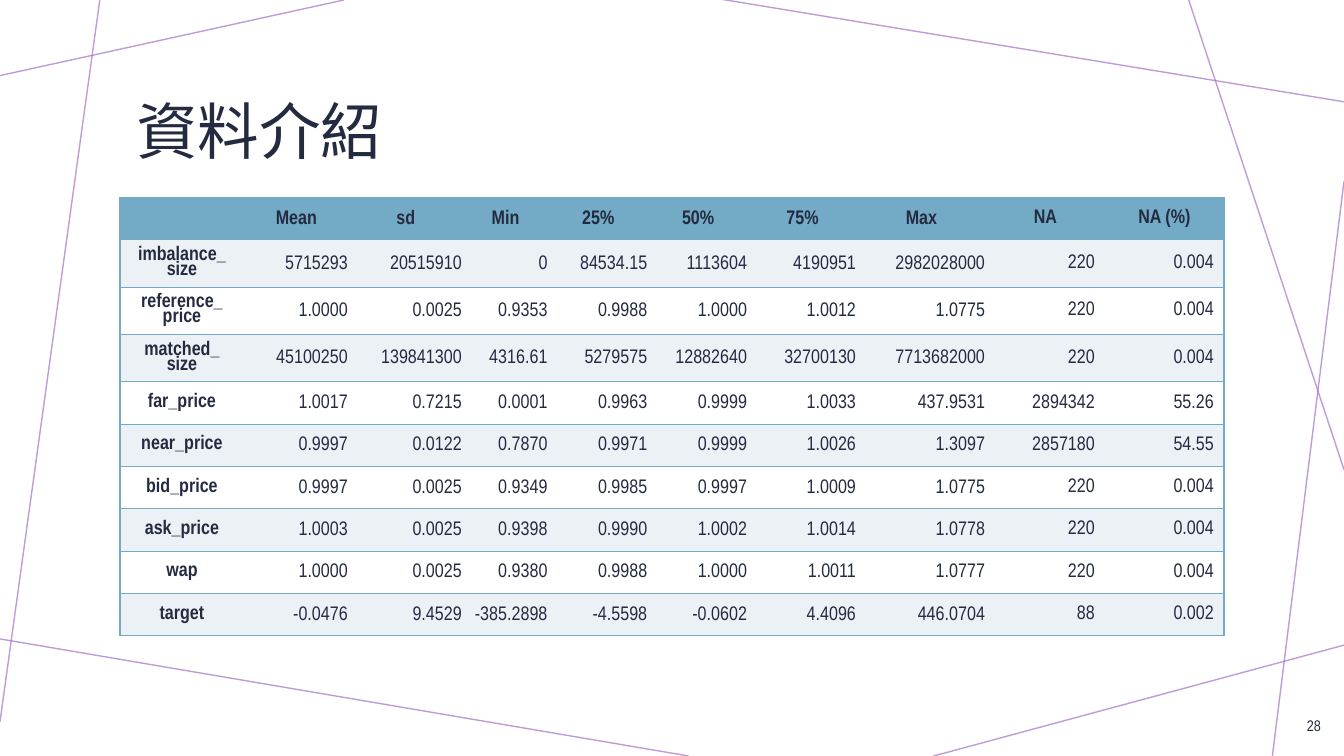
from lxml import etree
from pptx import Presentation
from pptx.dml.color import RGBColor
from pptx.enum.shapes import MSO_CONNECTOR
from pptx.enum.text import MSO_ANCHOR, MSO_AUTO_SIZE, PP_ALIGN
from pptx.oxml.ns import qn
from pptx.util import Inches, Pt

STRAIGHT = MSO_CONNECTOR.STRAIGHT
MIDDLE = MSO_ANCHOR.MIDDLE
LEFT, CENTER, RIGHT = PP_ALIGN.LEFT, PP_ALIGN.CENTER, PP_ALIGN.RIGHT
NO_AUTOFIT = MSO_AUTO_SIZE.NONE

INK = RGBColor(0x24, 0x2B, 0x41)
PURPLE = RGBColor(0xA4, 0x72, 0xC6)
BLUE = RGBColor(0x73, 0xAA, 0xC6)
PALE = RGBColor(0xEB, 0xF1, 0xF5)
WHITE = RGBColor(0xFF, 0xFF, 0xFF)

BACKDROP_LINES = [
    (3.41, 0, 0, 0.75), (0.99, 0, 0, 7.16), (6.83, 7.5, -0.05, 6.33),
    (13.33, 6.4, 9.26, 7.5), (13.33, 1.8, 12.62, 7.5),
    (13.33, 4.66, 11.79, 0), (13.33, 1.01, 7.14, -0.01),
]

COLUMN_WIDTHS = [1.23, 1.04, 1.13, 0.85, 0.99, 0.99, 1.08, 1.28, 1.18, 1.18]
ROW_HEIGHT = 0.42
TWO_LINE_ROW_HEIGHT = 0.47
TIGHT_COLUMNS = range(1, 8)
STATISTICS = [
    ["", "Mean", "sd", "Min", "25%", "50%", "75%", "Max", "NA", "NA (%)"],
    ["imbalance_\nsize", "5715293", "20515910", "0", "84534.15", "1113604",
     "4190951", "2982028000", "220", "0.004"],
    ["reference_\nprice", "1.0000", "0.0025", "0.9353", "0.9988", "1.0000",
     "1.0012", "1.0775", "220", "0.004"],
    ["matched_\nsize", "45100250", "139841300", "4316.61", "5279575", "12882640",
     "32700130", "7713682000", "220", "0.004"],
    ["far_price", "1.0017", "0.7215", "0.0001", "0.9963", "0.9999",
     "1.0033", "437.9531", "2894342", "55.26"],
    ["near_price", "0.9997", "0.0122", "0.7870", "0.9971", "0.9999",
     "1.0026", "1.3097", "2857180", "54.55"],
    ["bid_price", "0.9997", "0.0025", "0.9349", "0.9985", "0.9997",
     "1.0009", "1.0775", "220", "0.004"],
    ["ask_price", "1.0003", "0.0025", "0.9398", "0.9990", "1.0002",
     "1.0014", "1.0778", "220", "0.004"],
    ["wap", "1.0000", "0.0025", "0.9380", "0.9988", "1.0000",
     "1.0011", "1.0777", "220", "0.004"],
    ["target", "-0.0476", "9.4529", "-385.2898", "-4.5598", "-0.0602",
     "4.4096", "446.0704", "88", "0.002"],
]


def add_run(paragraph, text, size, font_name, align, bold=False):
    paragraph.alignment = align
    run = paragraph.add_run()
    run.text = text
    font = run.font
    font.size, font.name, font.bold = Pt(size), font_name, bold
    font.color.rgb = INK


def add_backdrop(slide):
    for x1, y1, x2, y2 in BACKDROP_LINES:
        ray = slide.shapes.add_connector(
            STRAIGHT, Inches(x1), Inches(y1), Inches(x2), Inches(y2))
        ray.line.width = Pt(1)
        ray.line.color.rgb = PURPLE
        properties = ray._element.spPr
        color = properties.find(".//" + qn("a:srgbClr"))
        etree.SubElement(color, qn("a:alpha"), val="70000")
        etree.SubElement(properties, qn("a:effectLst"))


def place_title(slide, text, left, top, width, height):
    title = slide.shapes.title
    title.left, title.top = Inches(left), Inches(top)
    title.width, title.height = Inches(width), Inches(height)
    frame = title.text_frame
    frame.auto_size = NO_AUTOFIT
    frame.vertical_anchor = MIDDLE
    heading = frame.paragraphs[0]
    heading.line_spacing = 0.9
    add_run(heading, text, 44, "Arial", LEFT)


def set_borders(cell, visible_sides):
    """Rule the named sides in blue and clear the others; call before filling."""
    properties = cell._tc.get_or_add_tcPr()
    for side in "LRTB":
        border = etree.SubElement(
            properties, qn(f"a:ln{side}"), w=str(Pt(1)))
        if side in visible_sides:
            fill = etree.SubElement(border, qn("a:solidFill"))
            etree.SubElement(fill, qn("a:srgbClr"), val=str(BLUE))
        else:
            etree.SubElement(border, qn("a:noFill"))


def fill_cell(cell, text, row, column):
    is_label = column == 0
    is_header = row == 0
    sides = "TB"
    if is_label:
        sides += "L"
    elif column == len(COLUMN_WIDTHS) - 1:
        sides += "R"
    set_borders(cell, sides)
    cell.fill.solid()
    cell.fill.fore_color.rgb = BLUE if is_header else PALE if row % 2 else WHITE
    cell.vertical_anchor = MIDDLE
    if column in TIGHT_COLUMNS:
        cell.margin_left = cell.margin_right = cell.margin_top = Inches(0.01)
        cell.margin_bottom = 0
    if not text:
        return
    emphasized = is_header or is_label
    frame = cell.text_frame
    for index, part in enumerate(text.split("\n")):
        paragraph = frame.add_paragraph() if index else frame.paragraphs[0]
        if is_label:
            paragraph.line_spacing = 0.8
        add_run(paragraph, part, 14, "Arial Narrow",
                CENTER if emphasized else RIGHT, emphasized)


def add_statistics_table(slide, left, top):
    heights = [TWO_LINE_ROW_HEIGHT if "\n" in values[0] else ROW_HEIGHT
               for values in STATISTICS]
    table = slide.shapes.add_table(
        len(STATISTICS), len(COLUMN_WIDTHS), Inches(left), Inches(top),
        Inches(sum(COLUMN_WIDTHS)), Inches(sum(heights))).table
    for column, width in zip(table.columns, COLUMN_WIDTHS):
        column.width = Inches(width)
    for row, height in zip(table.rows, heights):
        row.height = Inches(height)
    for row, values in enumerate(STATISTICS):
        for column, text in enumerate(values):
            fill_cell(table.cell(row, column), text, row, column)


def add_page_number(slide, number, left, top, width, height):
    frame = slide.shapes.add_textbox(
        Inches(left), Inches(top), Inches(width), Inches(height)).text_frame
    frame.word_wrap = True
    frame.vertical_anchor = MIDDLE
    add_run(frame.paragraphs[0], number, 11, "Arial Narrow", RIGHT)


def main():
    prs = Presentation()
    prs.slide_width, prs.slide_height = Inches(13.33), Inches(7.5)
    slide = prs.slides.add_slide(prs.slide_layouts.get_by_name("Title Only"))
    slide.background.fill.solid()
    slide.background.fill.fore_color.rgb = WHITE
    add_backdrop(slide)
    place_title(slide, "資料介紹", 1.25, 0.58, 10.83, 1.51)
    add_statistics_table(slide, 1.19, 1.96)
    add_page_number(slide, "28", 12.69, 7, 0.51, 0.4)
    prs.save("out.pptx")


if __name__ == "__main__":
    main()
